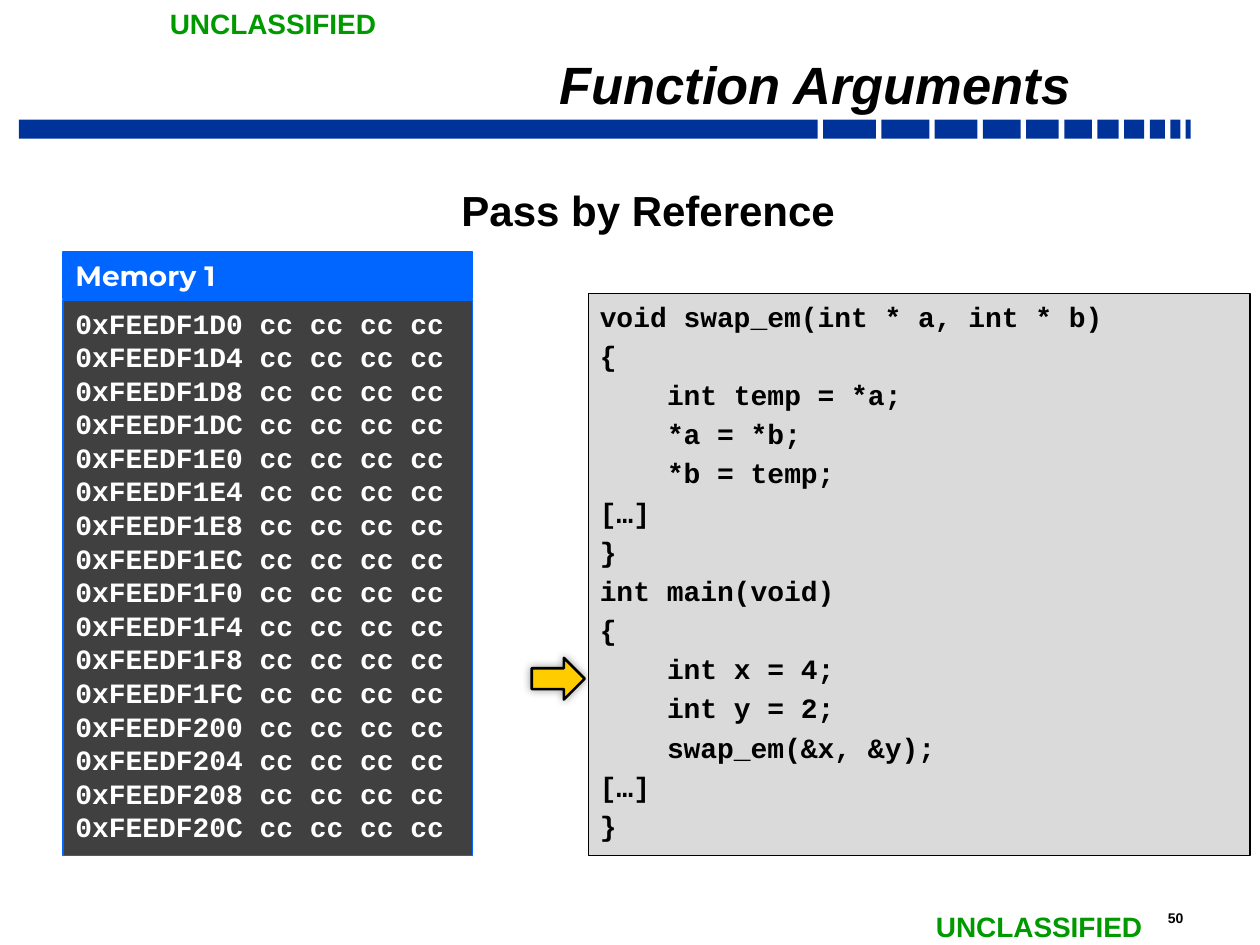
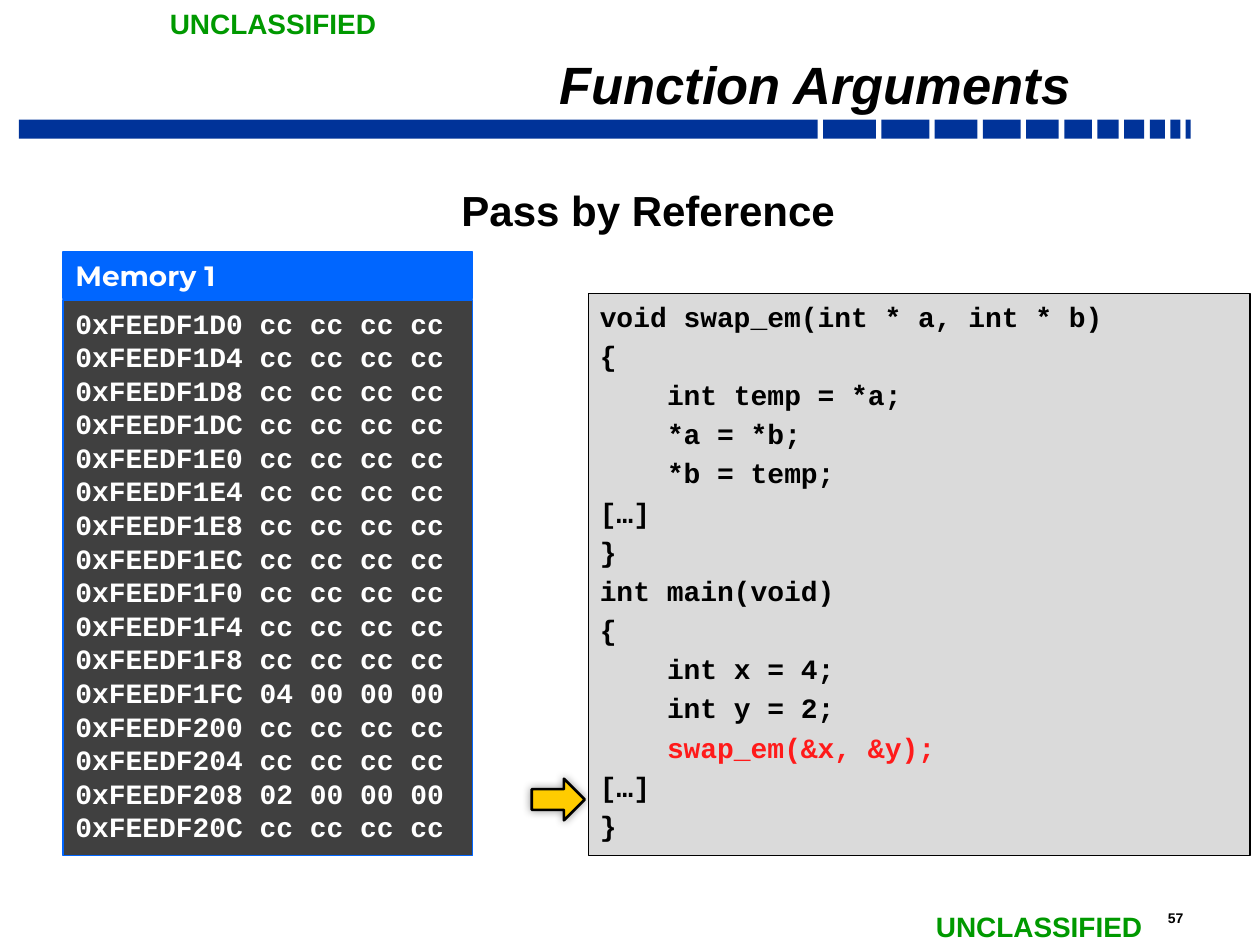
from dataclasses import dataclass
from typing import Optional

from lxml import etree
from pptx import Presentation
from pptx.dml.color import RGBColor
from pptx.enum import shapes, text
from pptx.oxml import ns
from pptx.util import Pt

BLACK, WHITE, GREEN, RED = "000000", "FFFFFF", "009900", "FF1A1A"
NAVY, BLUE, DARK, GREY, GOLD = "003399", "0066FF", "404040", "DADADA", "FFCC00"
SANS, MONO, HEADING = "Arial", "Courier New", "Montserrat"

BAND_LEFT, BAND_TOP, BAND_HEIGHT, BAND_GAP = 10.8, 68.4, 10.8, 3.08
BAND_WIDTHS = [456.48, 30.24, 27.36, 24.48, 21.6, 18.72, 15.84, 12.24, 11.52, 8.64, 5.76, 2.88]

INDENT = 38.4
CODE = [
    (0, "void swap_em(int * a, int * b)"),
    (0, "{"),
    (1, "int temp = *a;"),
    (1, "*a = *b;"),
    (1, "*b = temp;"),
    (0, "[…]"),
    (0, "}"),
    (0, "int main(void)"),
    (0, "{"),
    (1, "int x = 4;"),
    (1, "int y = 2;"),
    (1, "swap_em(&x, &y);"),
    (0, "[…]"),
    (0, "}"),
]
MEMORY_START, MEMORY_ROWS, WORD = 0xFEEDF1D0, 16, 4
UNSET = "cc cc cc cc"


@dataclass(frozen=True)
class Box:
    left: float
    top: float
    width: float
    height: float
    fill: Optional[str] = None
    line: Optional[str] = None
    line_width: float = 0.75


@dataclass(frozen=True)
class Style:
    size: float
    color: str = BLACK
    font: str = SANS
    italic: bool = False
    align: text.PP_ALIGN = text.PP_ALIGN.LEFT
    anchor: text.MSO_ANCHOR = text.MSO_ANCHOR.TOP
    inset_x: float = 7.2
    inset_y: float = 3.6
    line_spacing: float = 1.0
    space_before: float = 0


@dataclass(frozen=True)
class Step:
    number: int
    arrow_top: float
    memory: dict[int, str]
    called: Optional[str] = None


MARKING = Style(16, GREEN)
NUMBER = Style(8)
TITLE = Style(30, italic=True, align=text.PP_ALIGN.RIGHT, anchor=text.MSO_ANCHOR.BOTTOM,
              inset_x=6.5, inset_y=3.2, line_spacing=0.7)
SUBTITLE = Style(24, align=text.PP_ALIGN.CENTER, inset_x=6.5, inset_y=3.2, space_before=4.8)
MEMORY_HEAD = Style(16, WHITE, HEADING, anchor=text.MSO_ANCHOR.MIDDLE)
MEMORY_BODY = Style(16, WHITE, MONO)
LISTING = Style(16, font=MONO, inset_x=6.5, inset_y=3.2, space_before=3.2)

STEPS = [
    Step(50, 376, {}),
    Step(57, 445, {0xFEEDF1FC: "04 00 00 00", 0xFEEDF208: "02 00 00 00"}, "swap_em(&x, &y);"),
]


def rgb(value: str) -> RGBColor:
    return RGBColor.from_string(value)


def add_box(s, box: Box, kind=shapes.MSO_SHAPE.RECTANGLE):
    frame = [Pt(v) for v in (box.left, box.top, box.width, box.height)]
    if box.fill is None:
        return s.shapes.add_textbox(*frame)
    sp = s.shapes.add_shape(kind, *frame)
    sp.shadow.inherit = False
    sp.fill.solid()
    sp.fill.fore_color.rgb = rgb(box.fill)
    if box.line:
        sp.line.color.rgb = rgb(box.line)
        sp.line.width = Pt(box.line_width)
    else:
        sp.line.fill.background()
    return sp


def add_text(s, box: Box, style: Style, lines: list[str]):
    sp = add_box(s, box)
    tf = sp.text_frame
    tf.word_wrap = True
    tf.vertical_anchor = style.anchor
    tf.margin_left = tf.margin_right = Pt(style.inset_x)
    tf.margin_top = tf.margin_bottom = Pt(style.inset_y)
    tf.text = "\n".join(lines)
    for p in tf.paragraphs:
        p.alignment = style.align
        p.line_spacing = style.line_spacing
        p.space_before = Pt(style.space_before)
        for r in p.runs:
            r.font.name = style.font
            r.font.size = Pt(style.size)
            r.font.bold = True
            r.font.italic = style.italic
            r.font.color.rgb = rgb(style.color)
    return sp


def add_band(s) -> None:
    left = BAND_LEFT
    for width in BAND_WIDTHS:
        add_box(s, Box(left, BAND_TOP, width, BAND_HEIGHT, NAVY))
        left += width + BAND_GAP


def add_frame(s, number: int) -> None:
    add_band(s)
    add_text(s, Box(660.24, 516.24, 38.88, 16.56), NUMBER, [str(number)])
    for left, top in ((90, 0), (527.76, 516.24)):
        add_text(s, Box(left, top, 133.92, 26.64), MARKING, ["UNCLASSIFIED"])
    add_text(s, Box(43.92, 102.24, 653.04, 372.24), SUBTITLE, ["Pass by Reference"])
    add_text(s, Box(120.24, 25.2, 498.24, 42.48), TITLE, ["Function Arguments"])


def add_memory(s, values: dict[int, str]) -> None:
    addresses = [MEMORY_START + WORD * i for i in range(MEMORY_ROWS)]
    rows = [f"0x{address:08X} {values.get(address, UNSET)}" for address in addresses]
    add_text(s, Box(36, 144, 234, 26.64, BLUE, BLUE), MEMORY_HEAD, ["Memory 1"])
    add_text(s, Box(36, 171.36, 234, 317.52, DARK, BLUE), MEMORY_BODY, rows)


def add_arrow(s, top: float) -> None:
    box = Box(303.84, top, 30.24, 23.76, GOLD, BLACK, 1.5)
    sp = add_box(s, box, shapes.MSO_SHAPE.RIGHT_ARROW)
    effects = sp._element.spPr.find(ns.qn("a:effectLst"))
    shadow = etree.SubElement(effects, ns.qn("a:outerShdw"), blurRad=str(Pt(5)), dist="0", dir="0")
    color = etree.SubElement(shadow, ns.qn("a:srgbClr"), val=BLACK)
    etree.SubElement(color, ns.qn("a:alpha"), val="40000")


def add_code(s, called: Optional[str]) -> None:
    box = Box(336.24, 167.76, 378, 321.12, GREY, BLACK, 1)
    sp = add_text(s, box, LISTING, [line for _, line in CODE])
    for p, (level, line) in zip(sp.text_frame.paragraphs, CODE):
        p._p.get_or_add_pPr().set("marL", str(Pt(INDENT * level)))
        if line == called:
            p.runs[0].font.color.rgb = rgb(RED)


def main() -> None:
    prs = Presentation()
    prs.slide_width, prs.slide_height = Pt(720), Pt(540)
    for step in STEPS:
        s = prs.slides.add_slide(prs.slide_layouts[6])
        add_frame(s, step.number)
        add_memory(s, step.memory)
        add_arrow(s, step.arrow_top)
        add_code(s, step.called)
    prs.save("out.pptx")


if __name__ == "__main__":
    main()
